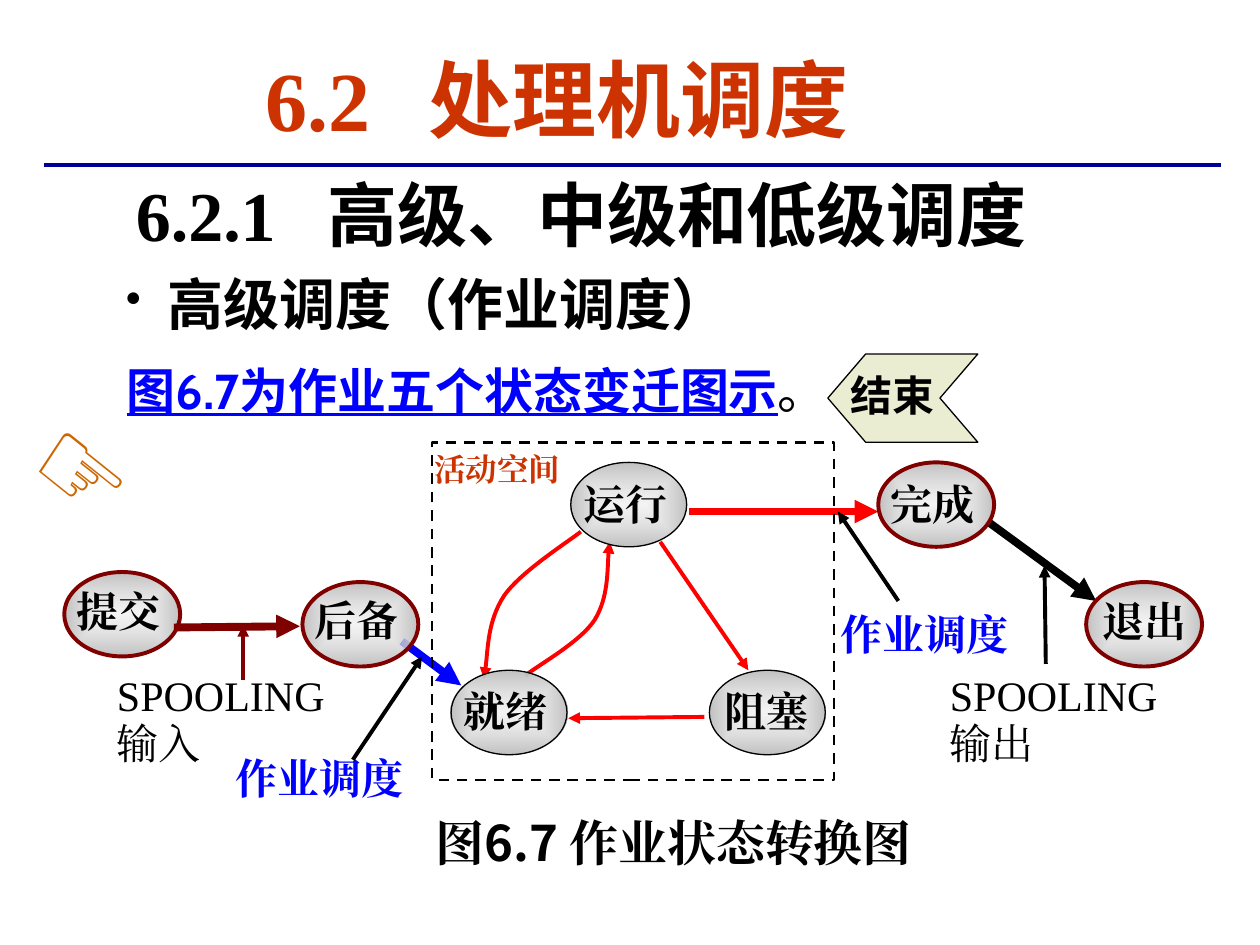
from lxml import etree
from pptx import Presentation
from pptx.dml.color import RGBColor
from pptx.enum.dml import MSO_LINE
from pptx.enum.shapes import MSO_CONNECTOR, MSO_SHAPE
from pptx.enum.text import PP_ALIGN
from pptx.oxml import parse_xml
from pptx.oxml.ns import nsdecls, qn
from pptx.util import Inches, Pt

STRAIGHT = MSO_CONNECTOR.STRAIGHT
ELLIPSE = MSO_SHAPE.OVAL
RECTANGLE = MSO_SHAPE.RECTANGLE
DASH = MSO_LINE.DASH
JUSTIFY = PP_ALIGN.JUSTIFY

COLUMNS, ROWS = 100, 75
TIMES, CABIN, NOTO, ARIAL = "Times New Roman", "Cabin", "Noto Sans CJK SC", "Arial"
BLACK, RED, BLUE, MAROON, ORANGE = "000000", "FF0000", "0000FF", "800000", "CC3300"


def color(value):
    return RGBColor.from_string(value)


class SlideBuilder:
    def __init__(self, presentation):
        self.slide = presentation.slides.add_slide(presentation.slide_layouts[6])
        self.shapes = self.slide.shapes
        self.column = presentation.slide_width / COLUMNS
        self.row = presentation.slide_height / ROWS

    def place(self, *lengths):
        units = (self.column, self.row) * 2
        return [round(length * unit) for length, unit in zip(lengths, units)]

    def outline(self, shape, line_color, width):
        shape.line.color.rgb = color(line_color)
        shape.line.width = Pt(width)

    def arrowhead(self, shape):
        line = shape.line._get_or_add_ln()
        etree.SubElement(line, qn("a:tailEnd")).set("type", "triangle")

    def line(self, start, end, line_color, width, arrow=True):
        connector = self.shapes.add_connector(STRAIGHT, *self.place(*start, *end))
        self.outline(connector, line_color, width)
        if arrow:
            self.arrowhead(connector)
        etree.SubElement(connector._element.spPr, qn("a:effectLst"))

    def text(self, box, paragraphs, size=24, font=TIMES, text_color=BLACK, bold=True,
             align=None, spacing=None, tab=None, bullet=False, rotation=0):
        shape = self.shapes.add_textbox(*self.place(*box))
        shape.rotation = rotation
        frame = shape.text_frame
        frame.word_wrap = True
        for index, runs in enumerate(paragraphs):
            paragraph = frame.add_paragraph() if index else frame.paragraphs[0]
            paragraph.alignment = align
            paragraph.line_spacing = spacing
            properties = paragraph._p.get_or_add_pPr()
            if bullet:
                self.bullet(properties)
            if tab:
                stops = etree.SubElement(properties, qn("a:tabLst"))
                stop = etree.SubElement(stops, qn("a:tab"))
                stop.set("pos", str(round(tab * self.column)))
                stop.set("algn", "l")
            for content, changes in runs:
                style = {"font": font, "color": text_color, "bold": bold, "underline": False}
                self.run(paragraph, content, size, style | changes)

    def bullet(self, properties):
        indent = Inches(0.33)
        properties.set("marL", str(indent))
        properties.set("indent", str(-indent))
        bullet_color = etree.SubElement(properties, qn("a:buClr"))
        etree.SubElement(bullet_color, qn("a:srgbClr")).set("val", BLACK)
        etree.SubElement(properties, qn("a:buSzPct")).set("val", "80000")
        etree.SubElement(properties, qn("a:buChar")).set("char", "•")

    def run(self, paragraph, content, size, style):
        run = paragraph.add_run()
        run.text = content
        run.font.size = Pt(size)
        run.font.bold = style["bold"]
        run.font.underline = style["underline"]
        run.font.color.rgb = color(style["color"])
        run.font.name = style["font"]
        east_asian = etree.SubElement(run.font._element, qn("a:ea"))
        east_asian.set("typeface", style["font"])

    def ellipse(self, left, top, line_color, width):
        shape = self.shapes.add_shape(ELLIPSE, *self.place(left, top, 9.2, 6.7))
        shape.shadow.inherit = False
        shape.fill.background()
        properties = shape._element.spPr
        gradient = parse_xml(
            f'<a:gradFill {nsdecls("a")} rotWithShape="1"><a:gsLst>'
            '<a:gs pos="0"><a:srgbClr val="EAEAEA"><a:alpha val="50000"/></a:srgbClr></a:gs>'
            '<a:gs pos="100000"><a:srgbClr val="C0C0C0"/></a:gs></a:gsLst>'
            '<a:path path="rect"><a:fillToRect l="50000" t="50000" r="50000" b="50000"/>'
            '</a:path></a:gradFill>')
        properties.replace(properties.find(qn("a:noFill")), gradient)
        self.outline(shape, line_color, width)

    def state(self, name, left, top, line_color=MAROON, width=2.25, shift=(0, 0.7)):
        self.ellipse(left, top, line_color, width)
        box = (left + shift[0], top + shift[1], 10.2, 4.8)
        self.text(box, [[(name, {})]], align=JUSTIFY)

    def frame(self, box):
        shape = self.shapes.add_shape(RECTANGLE, *self.place(*box))
        shape.shadow.inherit = False
        shape.fill.background()
        self.outline(shape, BLACK, 1.5)
        shape.line.dash_style = DASH

    def freeform(self, points, close):
        start, *rest = [self.place(*point) for point in points]
        builder = self.shapes.build_freeform(*start)
        builder.add_line_segments(rest, close=close)
        shape = builder.convert_to_shape()
        shape.shadow.inherit = False
        return shape

    def curve(self, points):
        shape = self.freeform(points, close=False)
        shape.fill.background()
        self.outline(shape, RED, 2.25)
        self.arrowhead(shape)
        segments = list(shape._element.iter(qn("a:lnTo")))
        outline_path = segments[0].getparent()
        for first in range(0, len(segments), 3):
            bezier = etree.SubElement(outline_path, qn("a:cubicBezTo"))
            for segment in segments[first:first + 3]:
                bezier.append(segment[0])
                outline_path.remove(segment)

    def chevron(self, points):
        shape = self.freeform(points, close=True)
        shape.fill.solid()
        shape.fill.fore_color.rgb = color("E1E4BA")
        fill_color = shape._element.spPr.find(qn("a:solidFill"))[0]
        etree.SubElement(fill_color, qn("a:alpha")).set("val", "65000")
        self.outline(shape, BLACK, 0.75)


def main():
    presentation = Presentation()
    presentation.slide_width, presentation.slide_height = Inches(10), Inches(7.5)
    page = SlideBuilder(presentation)

    page.line((3.5, 13.1), (96.9, 13.1), "000099", 2.5, arrow=False)
    page.text((20.1, 3.3, 55.9, 9), [[("6.2\t", {}), ("处理机调度", {"font": NOTO})]],
              size=48, text_color=ORANGE, tab=12.9)
    page.text((9.8, 13.1, 74.8, 11.7),
              [[("6.2.1\t", {}), ("高级、中级和低级调度", {"font": CABIN})]], size=40, tab=15.2)
    page.text((9, 21.5, 52.8, 5.8), [[("高级调度（作业调度）", {})]],
              size=32, font=CABIN, spacing=0.9, bullet=True)
    page.text((9.1, 28.1, 76.4, 5.7),
              [[("图6.7为作业五个状态变迁图示", {"color": BLUE, "underline": True}),
                ("。", {"bold": False})]], size=28, font=CABIN)

    page.state("提交", 5.1, 45.4, shift=(0, 0.6))
    page.line((13.8, 49.8), (23.8, 49.7), MAROON, 4.5)
    page.line((31.9, 50.9), (36.6, 54.4), BLUE, 4.5)
    page.line((54.7, 40.6), (69.7, 40.6), RED, 4.5)
    page.line((78.4, 41.4), (87, 47.7), BLACK, 4.5)

    for left, direction in ((8.3, "输入"), (74.4, "输出")):
        page.text((left, 52.9, 18.9, 9), [[("SPOOLING", {})], [(direction, {})]],
                  bold=False, align=JUSTIFY, spacing=0.96)
    for box in ((17.7, 59.5, 18.1, 5.5), (65.7, 48.1, 15.7, 4.1)):
        page.text(box, [[("作业调度", {})]], text_color=BLUE, align=JUSTIFY, spacing=0.96)
    page.line((19.3, 54), (19.3, 49.6), MAROON, 2.25)
    for start, end in (((28, 60.3), (33.5, 52.1)), ((71.3, 47.7), (66.5, 40.6)),
                       ((83, 52.7), (82.9, 44.9))):
        page.line(start, end, BLACK, 2.25)
    page.text((33.6, 64.3, 40.8, 4.8),
              [[("图", {}), ("6.7 ", {"font": NOTO}), ("作业状态转换图", {})]],
              size=28, align=JUSTIFY, spacing=0.96)

    page.state("后备", 24, 46.2, shift=(0, 0.5))
    page.state("退出", 86.2, 46.2, shift=(0.3, 0.6))
    page.state("完成", 69.7, 36.7, shift=(0, 0.8))

    page.frame((34.3, 35.1, 31.9, 26.8))
    page.text((33.5, 35.2, 12.3, 5.6), [[("活动空间", {})]],
              size=18, text_color=ORANGE, align=JUSTIFY)
    page.line((55.9, 56.9), (45.1, 57), RED, 2.25)
    page.line((52.4, 43), (59.4, 53.2), RED, 2.25)
    page.curve([(46.1, 42.2), (45.1, 43), (41.3, 45.4), (40, 47.3),
                (38.7, 49.3), (38.7, 52.5), (38.4, 53.9)])
    page.curve([(41.7, 53.6), (42.9, 52.7), (46.1, 50.9), (47.2, 49.2),
                (48.3, 47.4), (48.2, 44), (48.4, 43)])
    for name, left, top, shift in (("运行", 45.3, 36.7, (0, 0.8)), ("就绪", 35.8, 53.2, (0, 0.7)),
                                   ("阻塞", 56.3, 53.2, (0.2, 0.7))):
        page.state(name, left, top, BLACK, 0.75, shift)

    page.text((2, 32, 10.2, 11), [[("☞", {})]], size=60, font=ARIAL,
              text_color="CC6600", bold=False, rotation=38.8)
    page.chevron([(77.6, 35.1), (68.7, 35.1), (65.7, 31.6),
                  (68.7, 28.1), (77.6, 28.1), (74.6, 31.6)])
    page.text((66.5, 28.8, 10.2, 5), [[("结束", {})]], font=ARIAL)

    presentation.save("out.pptx")


if __name__ == "__main__":
    main()
